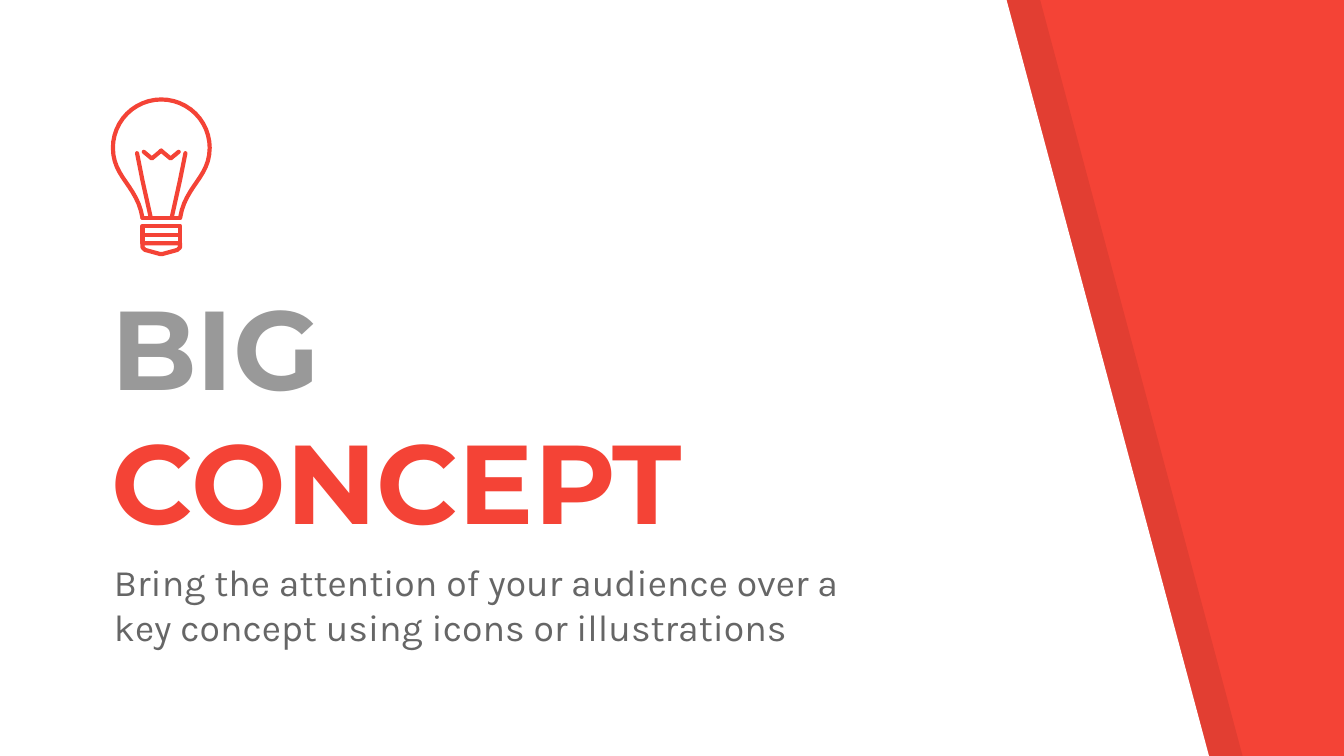
import dataclasses
import math

import pptx
import pptx.dml.color
import pptx.enum.text
import pptx.oxml
import pptx.oxml.ns
import pptx.util

Inches = pptx.util.Inches
Pt = pptx.util.Pt


@dataclasses.dataclass(frozen=True)
class Theme:
    accent: str = "F44336"
    paper: str = "FFFFFF"
    shade: str = "000000"
    muted: str = "999999"
    body: str = "666666"
    title_font: str = "Montserrat"
    body_font: str = "Karla"
    title_size: int = 60
    body_size: int = 20
    stroke: float = 2.25


THEME = Theme()
BULB_CENTRE, DOME_MIDDLE, DOME_RADIUS = 1.2, 1.1, 0.36
BASE_LEFT, BASE_RIGHT = 1.06, 1.34
PANEL = [(0, -0.01), (0, 5.64), (9, 5.64), (7.49, 0)]
NECK_CONTROLS = [(0.84, 1.1), (0.84, 1.32), (1.02, 1.38), (BASE_LEFT, 1.62)]
TIP_LEFT = [(BASE_LEFT, 1.81), (1.06, 1.84), (1.08, 1.86), (1.19, 1.89)]
SUPPORT_LEFT = [(1.02, 1.14), (1.06, 1.34), (1.12, 1.61)]
COIL_LEFT = [(1.07, 1.13), (1.13, 1.18), (1.19, 1.13), (1.2, 1.12)]


def rgb(color):
    return pptx.dml.color.RGBColor.from_string(color)


def mirror(points):
    """Reflect points across the bulb's axis, in reverse order."""
    return [(2 * BULB_CENTRE - x, y) for x, y in reversed(points)]


def glass_left():
    """Left half of the glass: a quarter circle, then a Bezier neck."""
    points = []
    for step in range(13):
        angle = math.pi / 2 * step / 12
        points.append((BULB_CENTRE - DOME_RADIUS * math.sin(angle),
                       DOME_MIDDLE - DOME_RADIUS * math.cos(angle)))
    for step in range(1, 13):
        t = step / 12
        weights = [math.comb(3, k) * t ** k * (1 - t) ** (3 - k)
                   for k in range(4)]
        points.append(tuple(sum(w * value for w, value in zip(weights, axis))
                            for axis in zip(*NECK_CONTROLS)))
    return points


def add_outline(shapes, points, close):
    corners = [(Inches(x), Inches(y)) for x, y in points]
    builder = shapes.build_freeform(*corners[0])
    builder.add_line_segments(corners[1:], close=close)
    outline = builder.convert_to_shape()
    outline.shadow.inherit = False
    return outline


def add_panel(page, offset, color, opacity=100):
    """Add the slanted panel, moved right by offset; opacity is in percent."""
    panel = add_outline(page.shapes, [(x + offset, y) for x, y in PANEL], True)
    panel.fill.solid()
    panel.fill.fore_color.rgb = rgb(color)
    panel.line.fill.background()
    if opacity < 100:
        tint = panel._element.spPr.find(".//" + pptx.oxml.ns.qn("a:srgbClr"))
        tint.append(pptx.oxml.parse_xml(
            f'<a:alpha {pptx.oxml.ns.nsdecls("a")} val="{opacity * 1000}"/>'))


def add_stroke(group, points, close=False):
    stroke = add_outline(group.shapes, points, close)
    stroke.fill.background()
    stroke.line.color.rgb = rgb(THEME.accent)
    stroke.line.width = Pt(THEME.stroke)
    line = stroke.get_or_add_ln()
    line.set("cap", "rnd")
    line.append(pptx.oxml.parse_xml(f'<a:round {pptx.oxml.ns.nsdecls("a")}/>'))


def add_bulb(page):
    group = page.shapes.add_group_shape()
    for top, bottom in ((1.75, 1.81), (1.68, 1.75)):
        add_stroke(group, [(BASE_RIGHT, bottom), (BASE_RIGHT, top),
                           (BASE_LEFT, top), (BASE_LEFT, bottom)], close=True)
    add_stroke(group, TIP_LEFT + mirror(TIP_LEFT), close=True)
    add_stroke(group, SUPPORT_LEFT)
    glass = glass_left()
    add_stroke(group, mirror(glass) + glass[1:])
    add_stroke(group, mirror(SUPPORT_LEFT))
    add_stroke(group, COIL_LEFT + mirror(COIL_LEFT)[1:])
    add_stroke(group, [(BASE_LEFT, 1.62), (BASE_RIGHT, 1.62)])


def add_text(page, area, spans, font, size, bold, anchor):
    """Add one paragraph made of (text, color) spans."""
    box = page.shapes.add_textbox(*map(Inches, area))
    frame = box.text_frame
    frame.word_wrap = True
    frame.vertical_anchor = anchor
    frame.margin_left = frame.margin_right = Inches(0.1)
    frame.margin_top = frame.margin_bottom = Inches(0.1)
    para = frame.paragraphs[0]
    para.font.name = font
    para.font.size = Pt(size)
    para.font.bold = bold
    for text, color in spans:
        span = para.add_run()
        span.text = text
        span.font.color.rgb = rgb(color)


def main():
    deck = pptx.Presentation()
    deck.slide_width = Inches(10)
    deck.slide_height = deck.slide_width * 9 // 16
    page = deck.slides.add_slide(deck.slide_layouts[6])
    page.background.fill.solid()
    page.background.fill.fore_color.rgb = rgb(THEME.accent)

    add_panel(page, 0.25, THEME.shade, opacity=7)
    add_panel(page, 0, THEME.paper)
    add_text(page, (0.73, 2.9, 5.74, 1.27),
             [("BIG ", THEME.muted), ("CONCEPT", THEME.accent)],
             THEME.title_font, THEME.title_size, True,
             pptx.enum.text.MSO_ANCHOR.BOTTOM)
    add_text(page, (0.75, 4.06, 5.74, 0.86),
             [("Bring the attention of your audience over a key concept "
               "using icons or illustrations", THEME.body)],
             THEME.body_font, THEME.body_size, False,
             pptx.enum.text.MSO_ANCHOR.TOP)
    add_bulb(page)
    deck.save("out.pptx")


if __name__ == "__main__":
    main()
